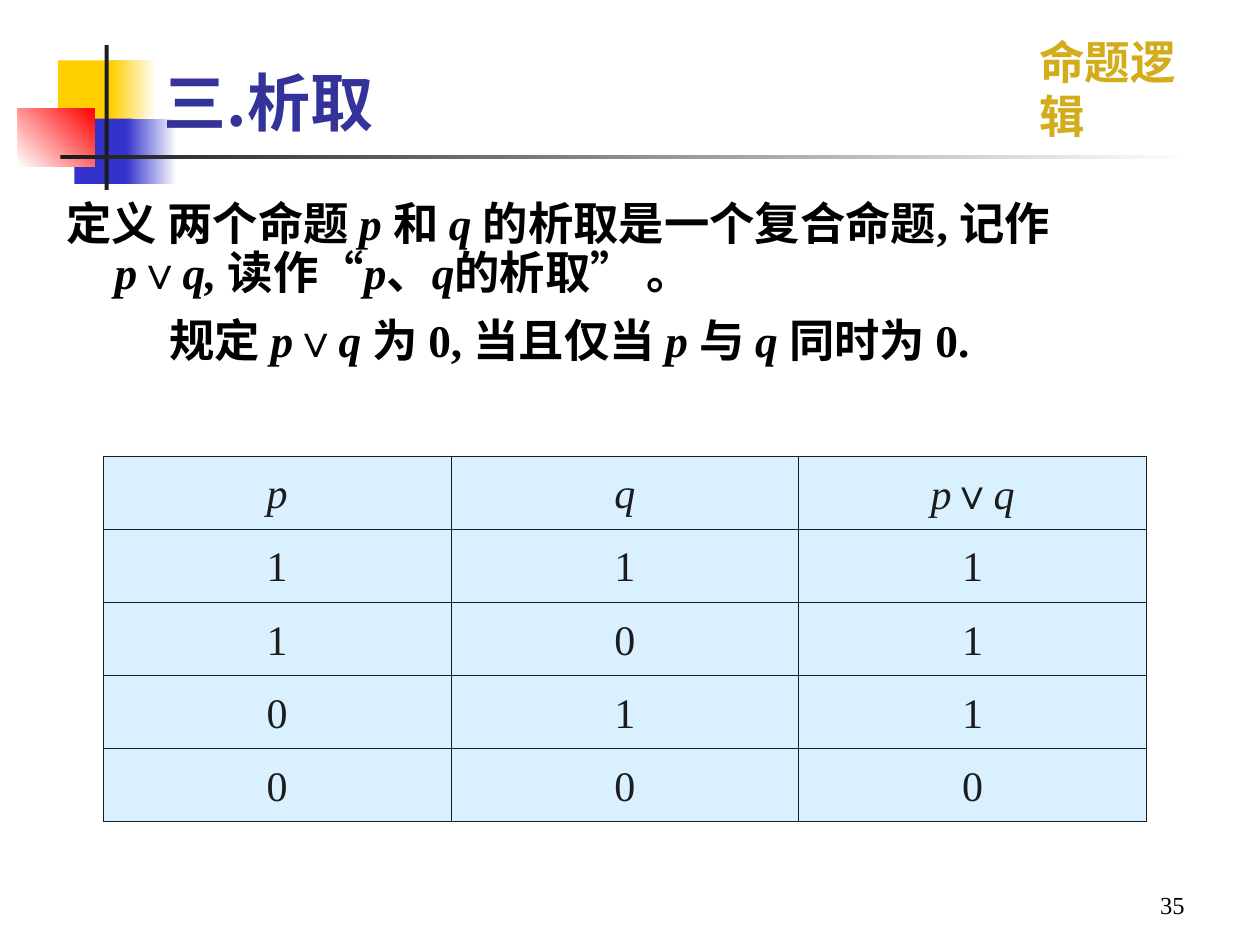
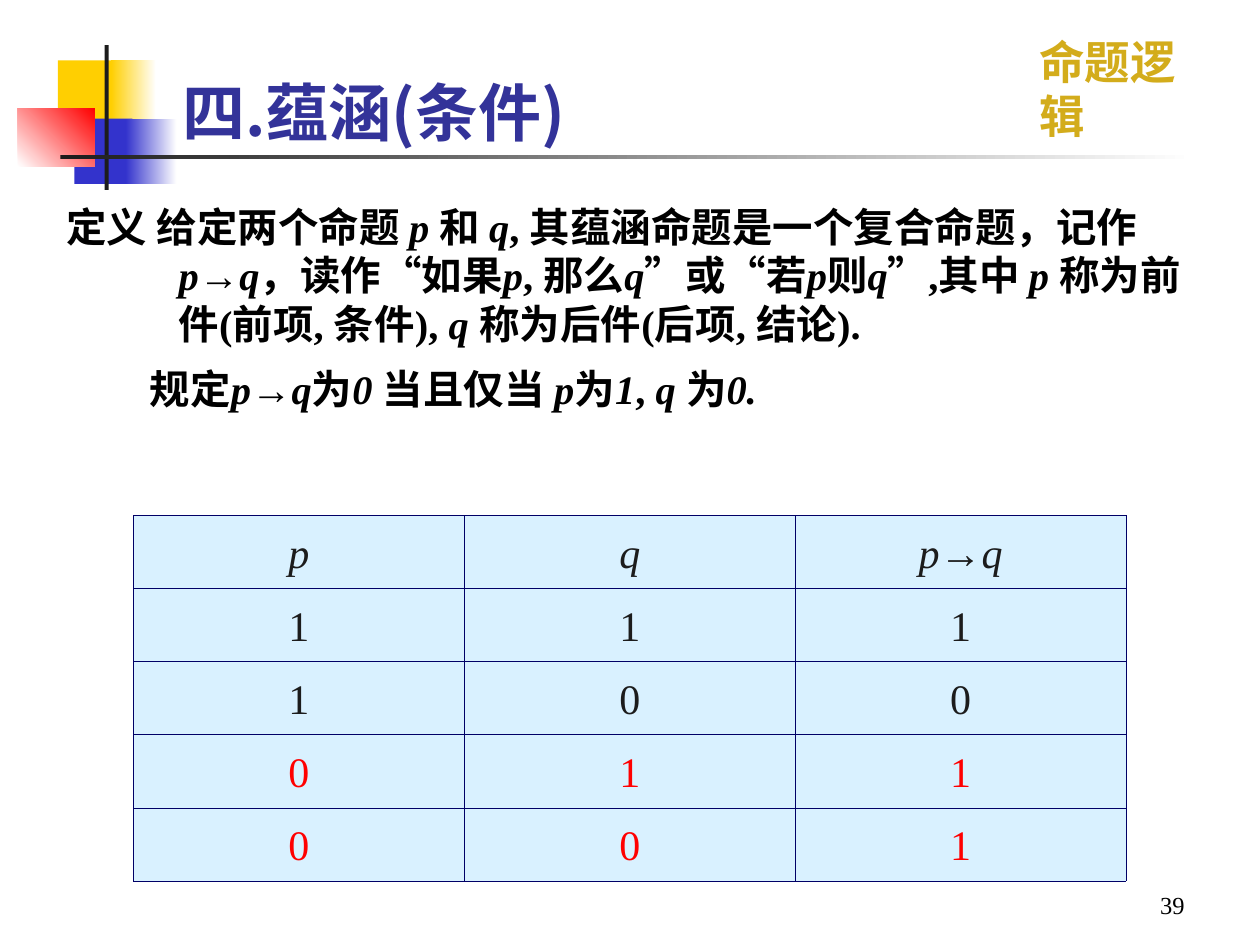
from dataclasses import dataclass
from itertools import groupby

from lxml import etree
from pptx import Presentation
from pptx.dml.color import RGBColor
from pptx.enum.shapes import MSO_SHAPE
from pptx.enum.text import MSO_ANCHOR, MSO_AUTO_SIZE, PP_ALIGN
from pptx.oxml.ns import qn
from pptx.util import Cm, Pt

COLORS = {
    "yellow": "FFCF01", "blue": "3333CC", "red": "FF0000", "white": "FFFFFF",
    "ink": "1C1C1C", "black": "000000", "navy": "000066",
    "title": "333399", "gold": "D3AC1B", "cell": "D9F1FF",
}
SERIF, SANS, CJK, HEADER_FONT = "Times New Roman", "Arial", "Noto Sans CJK SC", "Karla"
SANS_SYMBOLS = "∨“”"
ROW_HEIGHT = 1.47


@dataclass(frozen=True)
class Box:
    """Position and size in centimetres."""
    left: float
    top: float
    width: float
    height: float

    def lengths(self) -> tuple:
        return Cm(self.left), Cm(self.top), Cm(self.width), Cm(self.height)


@dataclass(frozen=True)
class Block:
    """A rectangle, plain or fading from start to end."""
    box: Box
    start: str
    end: str = ""
    angle: int = 0


@dataclass(frozen=True)
class TextStyle:
    size: float
    color: str
    font: str = SERIF
    bold: bool = False
    align: PP_ALIGN = PP_ALIGN.LEFT


@dataclass(frozen=True)
class Connective:
    """One slide; *asterisks* mark italic text."""
    title: str
    title_box: Box
    body_box: Box
    body_size: float
    line_spacing: float
    space_before: float
    hanging: float
    rule_indent: float
    definition: str
    rule: str
    table_box: Box
    border: str
    header: tuple
    rows: tuple
    red_from: int
    number: str


BLOCKS = (
    Block(Box(1.17, 1.22, 1.22, 1.32), "yellow"),
    Block(Box(2.24, 1.22, 0.91, 1.32), "yellow", "white"),
    Block(Box(1.5, 2.39, 1.17, 1.32), "blue"),
    Block(Box(2.54, 2.39, 1.02, 1.32), "blue", "white"),
    Block(Box(0.36, 2.18, 1.55, 1.17), "white", "red", 45),
    Block(Box(2.11, 0.91, 0.08, 2.92), "ink"),
    Block(Box(1.22, 3.12, 22.86, 0.08), "ink", "white"),
)
HEADER_BOX = Box(20.7, 0.56, 4.17, 1.37)
NUMBER_BOX = Box(18.21, 17.35, 5.92, 1.32)
HEADER_STYLE = TextStyle(26, "gold", HEADER_FONT, True)
TITLE_STYLE = TextStyle(36, "title", CJK, True)
NUMBER_STYLE = TextStyle(14, "black", align=PP_ALIGN.RIGHT)

CONNECTIVES = (
    Connective(
        title="三.析取",
        title_box=Box(3.05, -0.25, 22.86, 3.18),
        body_box=Box(1.09, 3.94, 23.01, 4.8),
        body_size=25.9, line_spacing=0.9, space_before=10.5,
        hanging=0.97, rule_indent=2.08,
        definition="定义 两个命题 *p *和 *q *的析取是一个复合命题, 记作\n"
                   "*p*∨*q, *读作“*p*、*q*的析取” 。",
        rule="规定 *p*∨*q *为 0, 当且仅当 *p *与 *q *同时为 0.",
        table_box=Box(2.08, 9.19, 21.03, 5 * ROW_HEIGHT),
        border="ink",
        header=("*p*", "*q*", "*p*∨*q*"),
        rows=("111", "101", "011", "000"), red_from=5,
        number="35",
    ),
    Connective(
        title="四.蕴涵(条件)",
        title_box=Box(3.43, -0.05, 22.86, 3.18),
        body_box=Box(1.09, 3.94, 23.39, 5.59),
        body_size=23.1, line_spacing=1.0, space_before=9.4,
        hanging=2.26, rule_indent=1.68,
        definition="定义 给定两个命题 *p *和 *q*, 其蕴涵命题是一个复合命题，记作\n"
                   "*p*→*q*，读作“如果*p*, 那么*q*”或“若*p*则*q*”,其中 *p *"
                   "称为前件(前项, 条件), *q *称为后件(后项, 结论).",
        rule="规定*p*→*q*为*0 *当且仅当 *p*为*1*, *q *为*0.*",
        table_box=Box(2.69, 10.39, 20.01, 5 * ROW_HEIGHT),
        border="navy",
        header=("*p*", "*q*", "*p→q*"),
        rows=("111", "100", "011", "001"), red_from=3,
        number="39",
    ),
)


def rgb(name: str) -> RGBColor:
    return RGBColor.from_string(COLORS[name])


def write(para, text: str, style: TextStyle) -> None:
    """Fill a paragraph, turning marks into italics and line breaks."""
    para.alignment = style.align
    font = para.font
    font.size, font.name, font.bold = Pt(style.size), style.font, style.bold
    font.color.rgb = rgb(style.color)
    for index, part in enumerate(text.split("*")):
        kinds = groupby(part, key=lambda c: (c == "\n", c in SANS_SYMBOLS))
        for (is_break, is_symbol), letters in kinds:
            if is_break:
                para.add_line_break()
                continue
            span = para.add_run()
            span.text = "".join(letters)
            if index % 2:
                span.font.italic = True
            if is_symbol:
                span.font.name = SANS


def add_frame(page, box: Box, anchor=MSO_ANCHOR.TOP, wrap: bool = True):
    frame = page.shapes.add_textbox(*box.lengths()).text_frame
    frame.word_wrap = wrap
    frame.vertical_anchor = anchor
    return frame


def add_block(page, block: Block) -> None:
    shape = page.shapes.add_shape(MSO_SHAPE.RECTANGLE, *block.box.lengths())
    shape.shadow.inherit = False
    shape.line.fill.background()
    if not block.end:
        shape.fill.solid()
        shape.fill.fore_color.rgb = rgb(block.start)
        return
    shape.fill.gradient()
    shape.fill.gradient_angle = block.angle
    for stop, color in zip(shape.fill.gradient_stops, (block.start, block.end)):
        stop.color.rgb = rgb(color)


def add_text_shadow(para) -> None:
    for span in para.runs:
        effects = etree.SubElement(span._r.get_or_add_rPr(), qn("a:effectLst"))
        shadow = etree.SubElement(effects, qn("a:outerShdw"), dist="17961", dir="2700000")
        etree.SubElement(shadow, qn("a:srgbClr"), val=COLORS["black"])


def add_frame_parts(page, item: Connective) -> None:
    """Corner blocks, course header, title and page number."""
    for block in BLOCKS:
        add_block(page, block)
    header = add_frame(page, HEADER_BOX, wrap=False)
    header.auto_size = MSO_AUTO_SIZE.SHAPE_TO_FIT_TEXT
    write(header.paragraphs[0], "命题逻辑", HEADER_STYLE)
    title = add_frame(page, item.title_box, MSO_ANCHOR.BOTTOM).paragraphs[0]
    write(title, item.title, TITLE_STYLE)
    add_text_shadow(title)
    number = add_frame(page, NUMBER_BOX, MSO_ANCHOR.BOTTOM)
    write(number.paragraphs[0], item.number, NUMBER_STYLE)


def add_body(page, item: Connective) -> None:
    frame = add_frame(page, item.body_box)
    style = TextStyle(item.body_size, "black", bold=True)
    definition, rule = frame.paragraphs[0], frame.add_paragraph()
    for para, margin, indent in ((definition, item.hanging, -item.hanging),
                                 (rule, item.rule_indent, 0)):
        properties = para._p.get_or_add_pPr()
        properties.set("marL", str(Cm(margin)))
        properties.set("indent", str(Cm(indent)))
        para.line_spacing = item.line_spacing
    rule.space_before = Pt(item.space_before)
    write(definition, item.definition, style)
    write(rule, item.rule, style)


def set_borders(cell, color: str) -> None:
    properties = cell._tc.get_or_add_tcPr()
    for side in ("lnL", "lnR", "lnT", "lnB"):
        line = etree.SubElement(properties, qn(f"a:{side}"), w=str(Pt(0.45)))
        fill = etree.SubElement(line, qn("a:solidFill"))
        etree.SubElement(fill, qn("a:srgbClr"), val=COLORS[color])


def add_truth_table(page, item: Connective) -> None:
    lines = (item.header, *item.rows)
    columns = len(item.header)
    table = page.shapes.add_table(len(lines), columns, *item.table_box.lengths()).table
    for column in table.columns:
        column.width = Cm(item.table_box.width / columns)
    for row, values in enumerate(lines):
        table.rows[row].height = Cm(ROW_HEIGHT)
        style = TextStyle(24, "red" if row >= item.red_from else "ink", align=PP_ALIGN.CENTER)
        for column, value in enumerate(values):
            cell = table.cell(row, column)
            set_borders(cell, item.border)
            cell.fill.solid()
            cell.fill.fore_color.rgb = rgb("cell")
            para = cell.text_frame.paragraphs[0]
            para.line_spacing = 1.2
            write(para, value, style)


def main() -> None:
    deck = Presentation()
    deck.slide_width, deck.slide_height = Cm(25.4), Cm(19.05)
    for item in CONNECTIVES:
        page = deck.slides.add_slide(deck.slide_layouts[6])
        add_frame_parts(page, item)
        add_body(page, item)
        add_truth_table(page, item)
    deck.save("out.pptx")


if __name__ == "__main__":
    main()
